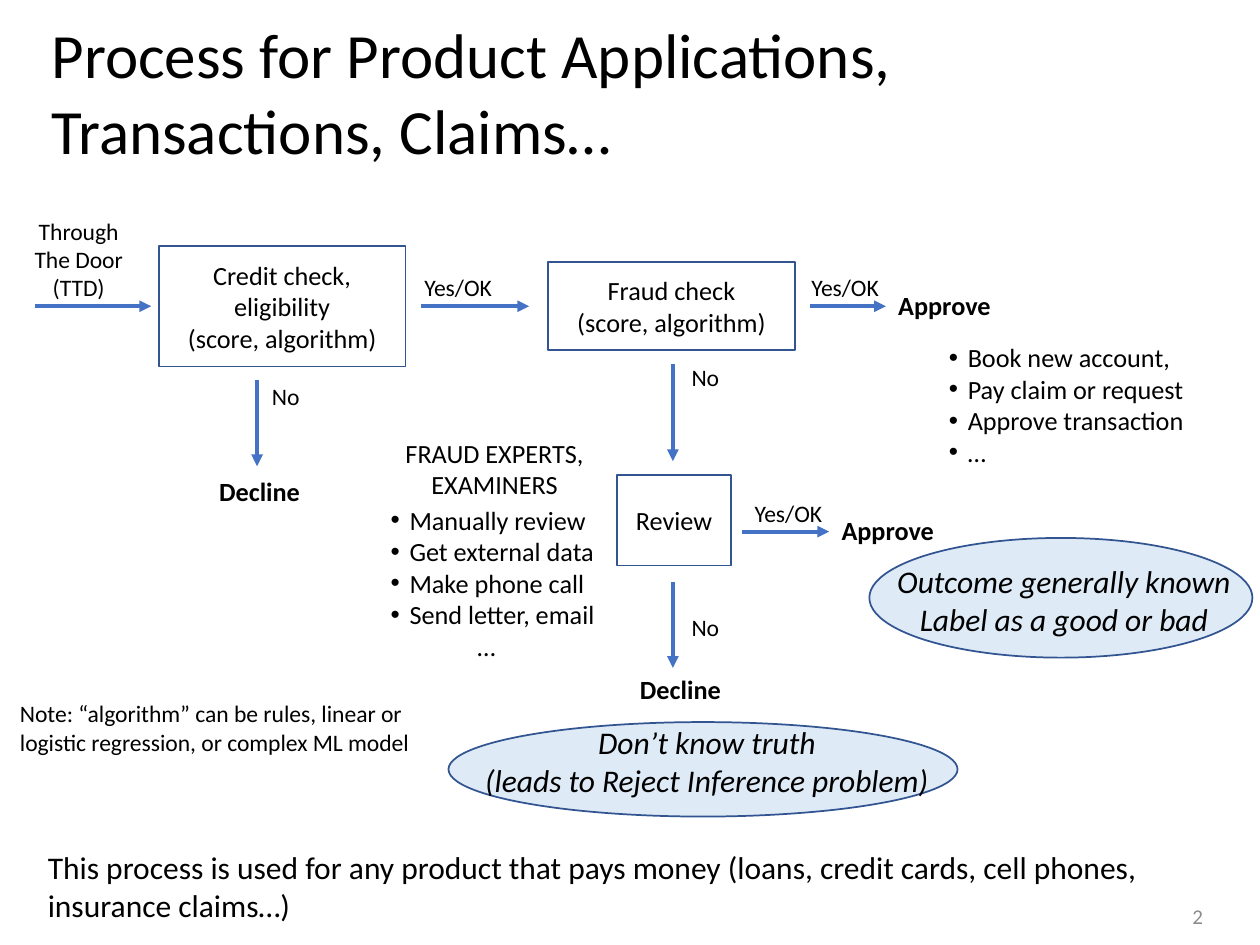
from dataclasses import dataclass

from lxml import etree
from pptx import Presentation
from pptx.dml.color import RGBColor
from pptx.enum.shapes import MSO_CONNECTOR, MSO_SHAPE
from pptx.enum.text import MSO_ANCHOR, MSO_AUTO_SIZE, PP_ALIGN
from pptx.oxml.ns import qn
from pptx.util import Pt

LEFT, CENTER = PP_ALIGN.LEFT, PP_ALIGN.CENTER
TOP, MIDDLE = MSO_ANCHOR.TOP, MSO_ANCHOR.MIDDLE
RECT, OVAL = MSO_SHAPE.RECTANGLE, MSO_SHAPE.OVAL
STRAIGHT = MSO_CONNECTOR.STRAIGHT
NO_FIT = MSO_AUTO_SIZE.NONE
TWO_CONTENT = 3


@dataclass(frozen=True)
class Theme:
    font: str = "Calibri"
    text: str = "000000"
    muted: str = "8C8C8C"
    outline: str = "325491"
    arrow: str = "4472C4"
    callout: str = "DEEBF7"
    title: float = 36
    large: float = 18
    body: float = 15
    label: float = 13.5
    number: float = 12


THEME = Theme()


def write(tf, text, size=THEME.body, color=THEME.text, bold=False, italic=False,
          align=LEFT, anchor=TOP, wrap=False):
    """Fill a text frame, one paragraph for each line of text."""
    tf.word_wrap = wrap
    tf.auto_size = NO_FIT
    tf.vertical_anchor = anchor
    for i, line in enumerate(text.split("\n")):
        p = tf.add_paragraph() if i else tf.paragraphs[0]
        p.alignment = align
        p.space_before = Pt(0)
        r = p.add_run()
        r.text = line
        font = r.font
        font.name, font.size = THEME.font, Pt(size)
        font.bold, font.italic = bold, italic
        font.color.rgb = RGBColor.from_string(color)


def set_bullet(p, char, margin, hang):
    """Give a paragraph a bullet, or none if char is empty."""
    pPr = p._p.get_or_add_pPr()
    pPr.set("marL", str(Pt(margin)))
    pPr.set("indent", str(Pt(-hang)))
    if char:
        font = etree.SubElement(pPr, qn("a:buFont"))
        font.set("typeface", "Arial")
        etree.SubElement(pPr, qn("a:buChar")).set("char", char)
    else:
        etree.SubElement(pPr, qn("a:buNone"))


class FlowSlide:
    """Draws flow chart elements on one slide, in points."""

    def __init__(self, prs, theme):
        self.theme = theme
        self.s = prs.slides.add_slide(prs.slide_layouts[TWO_CONTENT])

    def place(self, idx, x, y, w, h):
        sp = self.s.placeholders[idx]
        sp.left, sp.top, sp.width, sp.height = Pt(x), Pt(y), Pt(w), Pt(h)
        return sp.text_frame

    def title(self, text, *box):
        write(self.place(0, *box), text, size=self.theme.title, anchor=MIDDLE, wrap=True)

    def bullets(self, idx, text, *box, margin=10.8, inset=7.2, plain_last=False):
        tf = self.place(idx, *box)
        tf.margin_left = Pt(inset)
        write(tf, text)
        for p in tf.paragraphs:
            set_bullet(p, "•", margin, 10.8)
        if plain_last:
            p = tf.paragraphs[-1]
            p.alignment = CENTER
            for bullet in p._p.pPr.findall(qn("a:buFont")) + p._p.pPr.findall(qn("a:buChar")):
                p._p.pPr.remove(bullet)
            set_bullet(p, "", 0, 0)

    def text(self, text, x, y, w, h, **fmt):
        sp = self.s.shapes.add_textbox(Pt(x), Pt(y), Pt(w), Pt(h))
        write(sp.text_frame, text, **fmt)

    def shape(self, kind, x, y, w, h, fill=None):
        sp = self.s.shapes.add_shape(kind, Pt(x), Pt(y), Pt(w), Pt(h))
        sp.shadow.inherit = False
        if fill:
            sp.fill.solid()
            sp.fill.fore_color.rgb = RGBColor.from_string(fill)
        else:
            sp.fill.background()
        sp.line.color.rgb = RGBColor.from_string(self.theme.outline)
        sp.line.width = Pt(1)
        return sp

    def step(self, text, *box):
        write(self.shape(RECT, *box).text_frame, text, align=CENTER, anchor=MIDDLE)

    def callout(self, text, oval, box):
        self.shape(OVAL, *oval, fill=self.theme.callout)
        self.text(text, *box, size=self.theme.large, italic=True, align=CENTER)

    def arrow(self, x1, y1, x2, y2):
        c = self.s.shapes.add_connector(STRAIGHT, Pt(x1), Pt(y1), Pt(x2), Pt(y2))
        c.line.color.rgb = RGBColor.from_string(self.theme.arrow)
        c.line.width = Pt(2.25)
        etree.SubElement(c.line._get_or_add_ln(), qn("a:tailEnd")).set("type", "triangle")
        etree.SubElement(c._element.spPr, qn("a:effectLst"))


def main():
    prs = Presentation()
    prs.slide_width, prs.slide_height = Pt(720), Pt(540)
    flow = FlowSlide(prs, THEME)
    flow.title("Process for Product Applications, Transactions, Claims…", 22.3, 5, 676, 94.3)

    flow.callout("Don’t know truth\n(leads to Reject Inference problem)",
                 (256.3, 412.6, 290.9, 54), (268.6, 409.7, 270.7, 51.1))
    flow.callout("Outcome generally known\nLabel as a good or bad",
                 (496.8, 307.4, 218.9, 68.4), (504.7, 317.5, 206.6, 51.1))

    flow.step("Credit check,\neligibility\n(score, algorithm)", 90.7, 140.4, 141.1, 69.1)
    flow.step("Fraud check\n(score, algorithm)", 313.2, 149.8, 141.1, 50.4)
    flow.step("Review", 352.8, 271.4, 64.8, 51.8)

    main_y, review_y = 175, 303.8
    for x1, x2, y in ((20.2, 86.4, main_y), (240.5, 302.4, main_y),
                      (463, 506.2, main_y), (424.1, 473.8, review_y)):
        flow.arrow(x1, y, x2, y)
    for x, y1, y2 in ((146.9, 217.4, 266.4), (384.5, 208.1, 263.5), (384.5, 332.6, 381.6)):
        flow.arrow(x, y1, x, y2)

    for x, y in ((235.4, 152.6), (456.5, 152.6), (424.1, 281.5)):
        flow.text("Yes/OK", x, y, 54, 23.8, size=THEME.label)
    for x, y in ((148.3, 214.6), (388.1, 203.8), (388.1, 347)):
        flow.text("No", x, y, 30.2, 23.8, size=THEME.label)
    for outcome, x, y, w in (("Decline", 118.1, 267.8, 61.2), ("Decline", 358.6, 380.9, 61.2),
                             ("Approve", 506.2, 162, 67.7), ("Approve", 473.8, 290.2, 67.7)):
        flow.text(outcome, x, y, w, 25.2, bold=True)

    flow.text("Through\nThe Door\n(TTD)", 12.2, 120.2, 65.5, 56.2,
              size=THEME.label, align=CENTER)
    flow.text("FRAUD EXPERTS,\nEXAMINERS", 223.9, 246.2, 117.4, 43.9, align=CENTER)
    flow.bullets(1, "Manually review\nGet external data\nMake phone call\nSend letter, email\n…",
                 213.8, 284.4, 135.4, 97.9, margin=20.2, inset=0, plain_last=True)
    flow.bullets(2, "Book new account,\nPay claim or request\nApprove transaction\n…",
                 535, 191.5, 149.8, 79.9)

    flow.text("Note: “algorithm” can be rules, linear or logistic regression, or complex ML model",
              4.3, 396, 256.3, 40.3, size=THEME.label, wrap=True)
    flow.text("This process is used for any product that pays money "
              "(loans, credit cards, cell phones, insurance claims…)",
              20.2, 481, 642.2, 51.1, size=THEME.large, wrap=True)
    flow.text("2", 670.3, 509, 28.1, 28.8, size=THEME.number, color=THEME.muted,
              align=CENTER, anchor=MIDDLE, wrap=True)
    prs.save("out.pptx")


if __name__ == "__main__":
    main()
